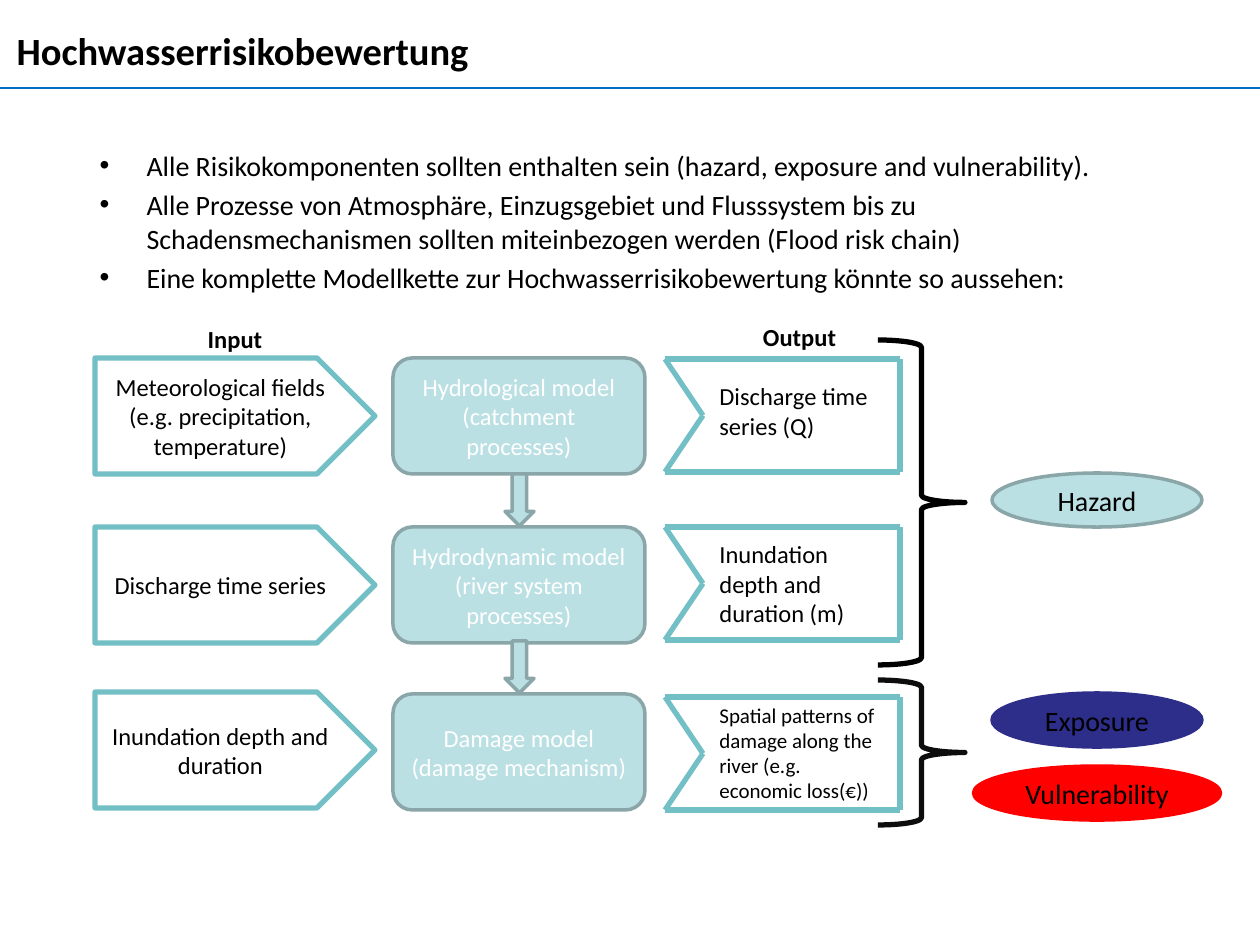
from lxml import etree
from pptx import Presentation
from pptx.dml.color import RGBColor
from pptx.enum.shapes import MSO_CONNECTOR, MSO_SHAPE
from pptx.enum.text import MSO_ANCHOR, MSO_AUTO_SIZE, PP_ALIGN
from pptx.oxml.ns import qn
from pptx.util import Pt

PX = 914400 / 126
FONT = "Calibri"
LEFT, CENTER = PP_ALIGN.LEFT, PP_ALIGN.CENTER
TOP, MIDDLE = MSO_ANCHOR.TOP, MSO_ANCHOR.MIDDLE
STRAIGHT = MSO_CONNECTOR.STRAIGHT

BLACK = RGBColor(0x00, 0x00, 0x00)
NEAR_BLACK = RGBColor(0x0D, 0x0D, 0x0D)
WHITE = RGBColor(0xFF, 0xFF, 0xFF)
RULE_BLUE = RGBColor(0x00, 0x70, 0xC0)
PALE_TEAL = RGBColor(0xBB, 0xE0, 0xE3)
GREY_TEAL = RGBColor(0x8A, 0xA6, 0xA8)
TEAL = RGBColor(0x72, 0xBF, 0xC5)
NAVY = RGBColor(0x2D, 0x2D, 0x8A)
RED = RGBColor(0xFF, 0x00, 0x00)

BULLETS = [
    "Alle Risikokomponenten sollten enthalten sein (hazard, exposure and vulnerability).",
    "Alle Prozesse von Atmosphäre, Einzugsgebiet und Flusssystem bis zu "
    "Schadensmechanismen sollten miteinbezogen werden (Flood risk chain)",
    "Eine komplette Modellkette zur Hochwasserrisikobewertung könnte so aussehen:",
]

# Input, model, output, and their tops; then output text top and size
ROWS = [
    (["Meteorological fields", "(e.g. precipitation, temperature)"], 358,
     ["Hydrological model", "(catchment processes)"], 358,
     "Discharge time series (Q)", 359, 375, 14),
    (["Discharge time series"], 527,
     ["Hydrodynamic model", "(river system processes)"], 527,
     "Inundation depth and duration (m)", 527, 533, 14),
    (["Inundation depth and duration"], 692,
     ["Damage model", "(damage mechanism)"], 694,
     "Spatial patterns of damage along the river (e.g. economic loss(€))", 697, 696, 12),
]


def emu(*lengths):
    return [round(length * PX) for length in lengths]


def write(shape, lines, size, color=BLACK, bold=False, align=CENTER, anchor=MIDDLE):
    frame = shape.text_frame
    frame.word_wrap = True
    frame.vertical_anchor = anchor
    frame.text = "\n".join(lines)
    for paragraph in frame.paragraphs:
        paragraph.alignment = align
        font = paragraph.font
        font.name, font.size, font.bold = FONT, Pt(size), bold
        font.color.rgb = color


def add_box(slide, preset, box, fill, line, width):
    shape = slide.shapes.add_shape(preset, *emu(*box))
    shape.shadow.inherit = False
    if fill is None:
        shape.fill.background()
    else:
        shape.fill.solid()
        shape.fill.fore_color.rgb = fill
    shape.line.color.rgb = line
    shape.line.width = Pt(width)
    return shape


def add_line(slide, start, end, color, width):
    connector = slide.shapes.add_connector(STRAIGHT, *emu(*start, *end))
    connector.line.color.rgb = color
    connector.line.width = Pt(width)
    etree.SubElement(connector._element.spPr, qn("a:effectLst"))


def add_label(slide, box, text, size, **style):
    write(slide.shapes.add_textbox(*emu(*box)), [text], size, anchor=TOP, **style)


def place(shape, box):
    shape.left, shape.top, shape.width, shape.height = emu(*box)


def add_header(slide, box):
    left, top, width, height = box
    add_line(slide, (0, top + 74), (1260, top + 74), RULE_BLUE, 1.5)
    title = slide.shapes.title
    place(title, (left, top, width, height))
    write(title, ["Hochwasserrisikobewertung"], 22, bold=True, align=LEFT)


def add_bullets(slide, box):
    body = slide.placeholders[1]
    place(body, box)
    body.text_frame.auto_size = MSO_AUTO_SIZE.NONE
    write(body, BULLETS, 16, align=LEFT, anchor=TOP)
    indent = emu(47)[0]
    for paragraph in body.text_frame.paragraphs:
        properties = paragraph._p.get_or_add_pPr()
        properties.set("marL", str(indent))
        properties.set("indent", str(-indent))


def add_output(slide, box, text, text_top, size):
    """Box with a notched left side, open for the arrow shape before it."""
    left, top, width, height = box
    right, bottom = left + width, top + height
    notch = (left + 38, top + height / 2)
    corners = [(left, top), notch, (left, bottom), (right, bottom), (right, top), (left, top)]
    for start, end in zip(corners, corners[1:]):
        add_line(slide, start, end, TEAL, 3)
    add_label(slide, (left + 42, text_top, 193, height), text, size, align=LEFT)


def add_model_chain(slide, left):
    for inputs, input_top, model, model_top, output, output_top, text_top, size in ROWS:
        model_box = add_box(slide, MSO_SHAPE.ROUNDED_RECTANGLE, (left + 298, model_top, 252, 116),
                            PALE_TEAL, GREY_TEAL, 2)
        write(model_box, model, 14, WHITE)
        input_box = add_box(slide, MSO_SHAPE.PENTAGON, (left, input_top, 280, 116), None, TEAL, 3)
        write(input_box, inputs, 14)
        add_output(slide, (left + 570, output_top, 235, 113), output, text_top, size)
    # Arrows between the models
    for top in (474, 641):
        add_box(slide, MSO_SHAPE.DOWN_ARROW, (left + 410, top, 29, 52), PALE_TEAL, GREY_TEAL, 2)
    # Column headings
    add_label(slide, (left + 94, 318, 92, 42), "Input", 14, bold=True)
    add_label(slide, (left + 652, 316, 105, 42), "Output", 14, bold=True)


def add_risk_components(slide, left):
    for top, height, color in [(340, 325, BLACK), (680, 145, NEAR_BLACK)]:
        add_box(slide, MSO_SHAPE.RIGHT_BRACE, (left, top, 87, height), None, color, 3)
    middle = left + 219
    for text, top, width, fill, line in [
        ("Hazard", 473, 210, PALE_TEAL, GREY_TEAL),
        ("Exposure", 693, 210, NAVY, NAVY),
        ("Vulnerability", 766, 247, RED, RED),
    ]:
        oval = add_box(slide, MSO_SHAPE.OVAL, (middle - width / 2, top, width, 54), fill, line, 2)
        write(oval, [text], 16)


def main():
    presentation = Presentation()
    presentation.slide_width, presentation.slide_height = emu(1260, 945)
    slide = presentation.slides.add_slide(presentation.slide_layouts[1])
    add_header(slide, (4, 14, 1086, 73))
    add_bullets(slide, (87, 142, 1086, 709))
    add_model_chain(slide, 95)
    add_risk_components(slide, 878)
    presentation.save("out.pptx")


if __name__ == "__main__":
    main()
